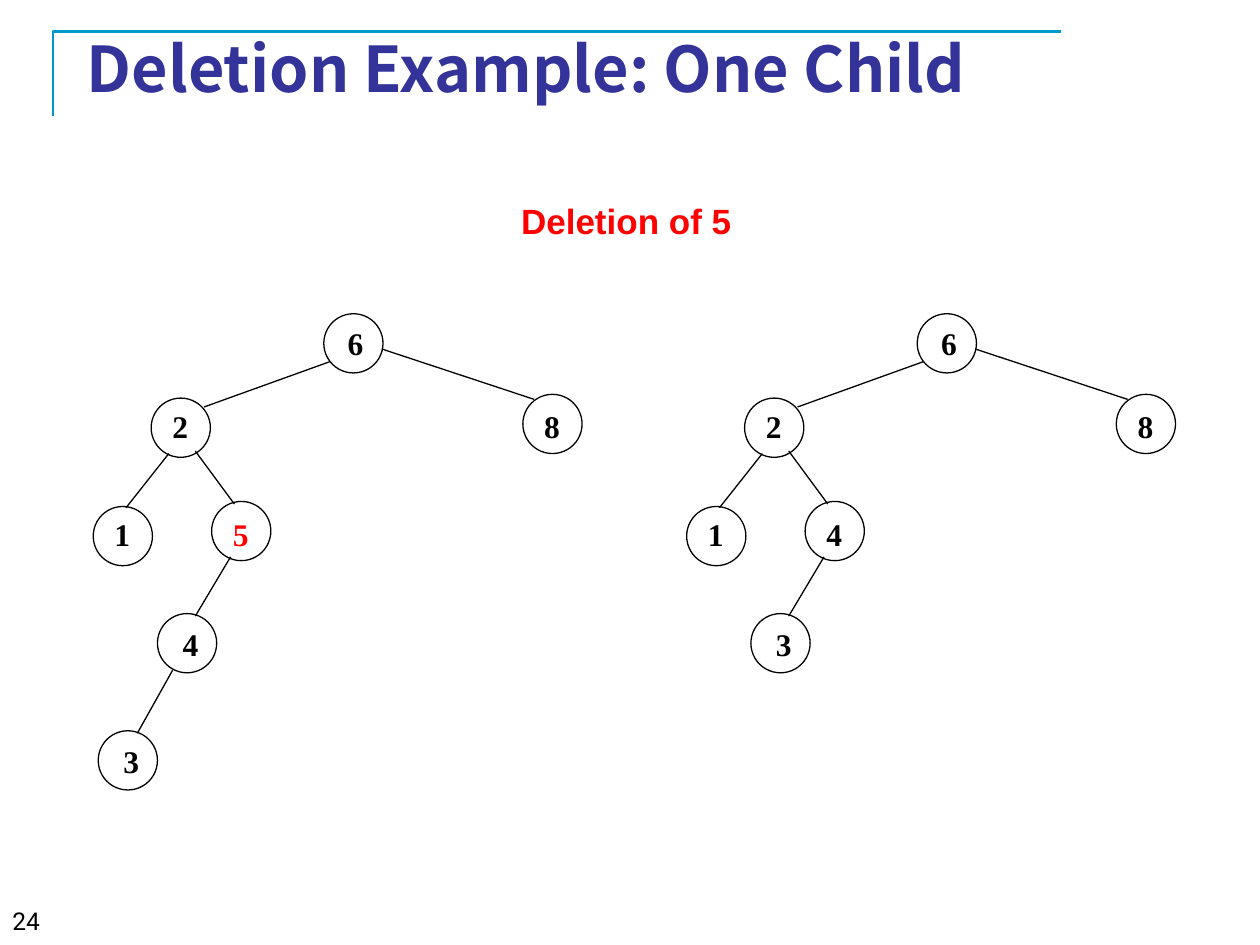
from lxml.etree import SubElement
from pptx import Presentation
from pptx.dml.color import RGBColor
from pptx.enum.shapes import MSO_CONNECTOR, MSO_SHAPE
from pptx.enum.text import MSO_ANCHOR, MSO_AUTO_SIZE, PP_ALIGN
from pptx.oxml.ns import qn
from pptx.util import Inches, Pt

BLACK, RED, NAVY, TEAL = "000000", "FF0000", "333399", "0099CC"
NODE = 0.47  # circle diameter

# Circle left and top, then label left and top, relative to the tree box
SPOTS = {
    "root": (1.83, 0, 1.92, 0.03),
    "left": (0.46, 0.67, 0.53, 0.69),
    "right": (3.41, 0.64, 3.48, 0.69),
    "leaf": (0, 1.53, 0.07, 1.55),
    "inner": (0.94, 1.49, 1.01, 1.55),
    "low": (0.51, 2.38, 0.61, 2.42),
    "last": (0.04, 3.31, 0.14, 3.35),
}
# The edge that leads down to each spot
EDGES = {
    "left": (1.88, 0.38, 0.88, 0.74),
    "right": (2.29, 0.28, 3.5, 0.68),
    "leaf": (0.6, 1.11, 0.26, 1.54),
    "inner": (0.81, 1.09, 1.12, 1.51),
    "low": (1.09, 1.93, 0.81, 2.4),
    "last": (0.63, 2.83, 0.35, 3.33),
}


def color(code):
    return RGBColor.from_string(code)


def add_text(shapes, box, text, size, font, code, bold=True, align=None, wrap=True):
    label = shapes.add_textbox(*map(Inches, box))
    frame = label.text_frame
    frame.text = text
    frame.word_wrap = wrap
    para = frame.paragraphs[0]
    para.alignment = align
    style = para.runs[0].font
    style.size, style.name, style.bold = Pt(size), font, bold
    style.color.rgb = color(code)
    return frame


def add_edge(shapes, x, y, ends):
    x1, y1, x2, y2 = ends
    edge = shapes.add_connector(MSO_CONNECTOR.STRAIGHT, Inches(x + x1), Inches(y + y1),
                                Inches(x + x2), Inches(y + y2))
    edge.line.color.rgb = color(BLACK)
    edge.line.width = Pt(0.75)
    SubElement(edge.element.spPr, qn("a:effectLst"))


def add_node(shapes, x, y, spot, key, code):
    left, top, label_left, label_top = spot
    ring = shapes.add_shape(MSO_SHAPE.OVAL, Inches(x + left), Inches(y + top),
                            Inches(NODE), Inches(NODE))
    ring.shadow.inherit = False
    ring.fill.background()
    ring.line.color.rgb = color(BLACK)
    ring.line.width = Pt(0.75)
    width = 0.3 if key == "1" else 0.32
    frame = add_text(shapes, (x + label_left, y + label_top, width, 0.4), key, 18,
                     "Times New Roman", code, align=PP_ALIGN.CENTER, wrap=False)
    frame.auto_size = MSO_AUTO_SIZE.SHAPE_TO_FIT_TEXT


def add_tree(slide, x, y, keys, marked=None):
    shapes = slide.shapes.add_group_shape().shapes
    for place, key in keys.items():
        if place in EDGES:
            add_edge(shapes, x, y, EDGES[place])
        add_node(shapes, x, y, SPOTS[place], key, RED if key == marked else BLACK)


def add_header(slide, x, y):
    # Corner rule
    path = slide.shapes.build_freeform(Inches(x), Inches(y + 0.67))
    path.add_line_segments([(Inches(x), Inches(y)), (Inches(x + 8), Inches(y))], close=False)
    rule = path.convert_to_shape()
    rule.shadow.inherit = False
    rule.fill.background()
    rule.line.color.rgb = color(TEAL)
    rule.line.width = Pt(1.5)
    # Title
    frame = add_text(slide.shapes, (x + 0.17, y + 0.05, 8.5, 0.47),
                     "Deletion Example: One Child", 36, "Noto Sans CJK KR", NAVY,
                     align=PP_ALIGN.JUSTIFY)
    frame.vertical_anchor = MSO_ANCHOR.MIDDLE


def add_caption(slide, x, y):
    frame = add_text(slide.shapes, (x, y, 8.72, 0.4), "Deletion of 5", 20, "Arial", RED,
                     align=PP_ALIGN.CENTER)
    frame.auto_size = MSO_AUTO_SIZE.SHAPE_TO_FIT_TEXT
    para = frame.paragraphs[0]
    para.line_spacing = 0.9
    para.space_before = Pt(10)


def main():
    deck = Presentation()
    deck.slide_width, deck.slide_height = Inches(10), Inches(7.5)
    slide = deck.slides.add_slide(deck.slide_layouts[6])
    add_header(slide, 0.42, 0.25)
    add_caption(slide, 0.61, 1.57)

    # Trees before and after the deletion
    before = dict(zip(SPOTS, "6281543"))
    after = dict(zip(SPOTS, "628143"))
    add_tree(slide, 0.74, 2.49, before, marked="5")
    add_tree(slide, 5.45, 2.49, after)

    # Slide number
    add_text(slide.shapes, (0, 7.14, 3.12, 0.36), "24", 14, "Roboto", BLACK, bold=False)
    deck.save("out.pptx")


if __name__ == "__main__":
    main()
